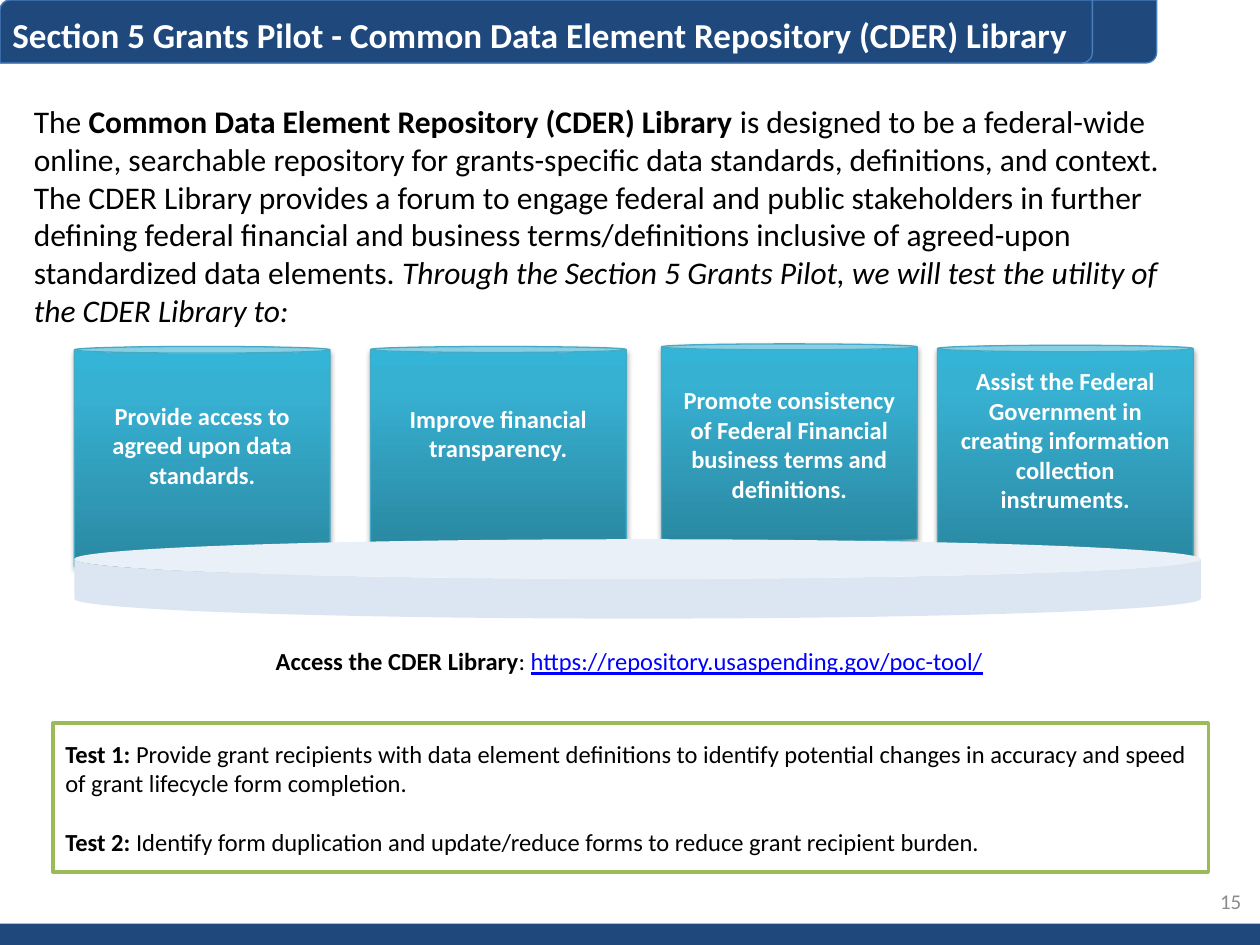
from dataclasses import dataclass
from typing import NamedTuple, Optional

from lxml import etree
from pptx import Presentation
from pptx.dml.color import RGBColor
from pptx.enum.shapes import MSO_SHAPE
from pptx.enum.text import MSO_ANCHOR, PP_ALIGN
from pptx.oxml.ns import qn
from pptx.util import Inches, Pt

RECTANGLE = MSO_SHAPE.RECTANGLE
BANNER = MSO_SHAPE.ROUND_2_DIAG_RECTANGLE
CAN = MSO_SHAPE.CAN
TOP, MIDDLE = MSO_ANCHOR.TOP, MSO_ANCHOR.MIDDLE
LEFT, CENTER, RIGHT = PP_ALIGN.LEFT, PP_ALIGN.CENTER, PP_ALIGN.RIGHT


@dataclass(frozen=True)
class Theme:
    font: str = "Calibri"
    navy: str = "1F497D"
    navy_line: str = "4B7EBC"
    teal_line: str = "46AAC5"
    teal_stops: tuple = ((0, "2A88A2"), (80, "37B1D2"), (100, "34B4D6"))
    pale: str = "DCE6F2"
    green: str = "9BBB59"
    white: str = "FFFFFF"
    black: str = "000000"
    gray: str = "8C8C8C"
    link: str = "0000FF"
    title: int = 20
    body: int = 18
    label: int = 14
    number: int = 12


THEME = Theme()


class Place(NamedTuple):
    left: float
    top: float
    width: float
    height: float


class Span(NamedTuple):
    text: str
    style: dict = {}


class Pillar(NamedTuple):
    left: float
    top: float
    height: float
    text: str
    space_below: float = 0.28


BOLD, ITALIC = {"bold": True}, {"italic": True}
PILLAR_WIDTH = 2.03
LINE_GAP = 17

# Back to front
PILLARS = [
    Pillar(7.44, 2.74, 1.71, "Assist the Federal Government in creating "
           "information collection instruments."),
    Pillar(5.25, 2.73, 1.57, "Promote consistency of Federal Financial "
           "business terms and definitions.", 0.05),
    Pillar(2.94, 2.75, 1.58, "Improve financial transparency."),
    Pillar(0.59, 2.75, 1.77, "Provide access to agreed upon data standards."),
]

INTRO = [
    Span("The "),
    Span("Common Data Element Repository (CDER) Library ", BOLD),
    Span("is designed to be a federal-wide online, searchable repository for "
         "grants-specific data standards, definitions, and context. The CDER "
         "Library provides a forum to engage federal and public stakeholders "
         "in further defining federal financial and business "
         "terms/definitions inclusive of agreed-upon standardized data "
         "elements. "),
    Span("Through the Section 5 Grants Pilot, we will test the utility of "
         "the CDER Library to:", ITALIC),
]

ACCESS = [
    Span("Access the CDER Library", BOLD),
    Span(": "),
    Span("https://repository.usaspending.gov/poc-tool/",
         {"underline": True, "color": THEME.link}),
]

TESTS = [
    [Span("Test 1: ", BOLD),
     Span("Provide grant recipients with data element definitions to identify "
          "potential changes in accuracy and speed of grant lifecycle form "
          "completion.")],
    [Span("Test 2: ", BOLD),
     Span("Identify form duplication and update/reduce forms to reduce grant "
          "recipient burden.")],
]


def rgb(value: str) -> RGBColor:
    return RGBColor.from_string(value)


def write(shape, paragraphs: list, size: int, color: str = THEME.black,
          align=LEFT, anchor=TOP, gap: float = 0) -> None:
    frame = shape.text_frame
    frame.word_wrap = True
    frame.vertical_anchor = anchor
    for index, spans in enumerate(paragraphs):
        para = frame.add_paragraph() if index else frame.paragraphs[0]
        para.alignment = align
        if index:
            para.space_before = Pt(gap)
        for span in spans:
            run = para.add_run()
            run.text = span.text
            style = {"name": THEME.font, "size": Pt(size), "color": color}
            style.update(span.style)
            run.font.color.rgb = rgb(style.pop("color"))
            for name, value in style.items():
                setattr(run.font, name, value)


def add_text(page, place: Place, spans: list, size: int, **options) -> None:
    box = page.shapes.add_textbox(*map(Inches, place))
    write(box, [spans], size, **options)


def add_block(page, kind, place: Place, fill: Optional[str] = None,
              line: Optional[str] = None, weight: float = 0.75):
    shape = page.shapes.add_shape(kind, *map(Inches, place))
    shape.shadow.inherit = False
    if fill:
        shape.fill.solid()
        shape.fill.fore_color.rgb = rgb(fill)
    if line:
        shape.line.color.rgb = rgb(line)
        shape.line.width = Pt(weight)
    else:
        shape.line.fill.background()
    return shape


def add_color(parent, value: str):
    return etree.SubElement(parent, qn("a:srgbClr"), val=value)


def shade(shape) -> None:
    """Give a pillar its three-stop gradient and soft shadow."""
    shape.fill.gradient()
    shape.fill.gradient_angle = 90
    properties = shape._element.spPr
    stops = properties.find(qn("a:gradFill")).find(qn("a:gsLst"))
    for stop in list(stops):
        stops.remove(stop)
    for percent, value in THEME.teal_stops:
        add_color(etree.SubElement(stops, qn("a:gs"), pos=str(percent * 1000)),
                  value)
    shadow = etree.SubElement(
        properties.find(qn("a:effectLst")), qn("a:outerShdw"),
        blurRad=str(Pt(3.1)), dist=str(Pt(1.8)), dir="5400000", rotWithShape="0")
    etree.SubElement(add_color(shadow, THEME.black), qn("a:alpha"), val="35000")


def add_pillar(page, pillar: Pillar) -> None:
    place = Place(pillar.left, pillar.top, PILLAR_WIDTH, pillar.height)
    shape = add_block(page, CAN, place, line=THEME.teal_line)
    shape.adjustments[0] = 0.03
    shade(shape)
    shape.text_frame.margin_bottom = Inches(pillar.space_below)
    write(shape, [[Span(pillar.text, BOLD)]], THEME.label, THEME.white,
          CENTER, MIDDLE)


def main() -> None:
    deck = Presentation()
    deck.slide_width, deck.slide_height = Inches(10), Inches(7.5)
    page = deck.slides.add_slide(deck.slide_layouts[6])

    # Footer bar, title banner and page number
    add_block(page, RECTANGLE, Place(0, 7.33, 10, 0.17), THEME.navy)
    for width in (9.18, 8.67):
        add_block(page, BANNER, Place(0, 0, width, 0.5), THEME.navy,
                  THEME.navy_line)
    add_text(page, Place(7.62, 6.95, 2.33, 0.4), [Span("15")], THEME.number,
             color=THEME.gray, align=RIGHT, anchor=MIDDLE)
    title = ("Section 5 Grants Pilot - Common Data Element Repository (CDER) "
             "Library")
    add_text(page, Place(0, 0.06, 9, 0.44), [Span(title, BOLD)], THEME.title,
             color=THEME.white)

    # Introduction
    add_text(page, Place(0.17, 0.76, 9.19, 1.92), INTRO, THEME.body)

    # Pillars standing behind their base
    for pillar in PILLARS:
        add_pillar(page, pillar)
    base = add_block(page, CAN, Place(0.59, 4.28, 8.94, 0.63), THEME.pale)
    base.adjustments[0] = 0.5

    # Address line and tests
    add_text(page, Place(2.08, 5.08, 5.83, 0.34), ACCESS, THEME.label,
             align=CENTER)
    tests = add_block(page, RECTANGLE, Place(0.42, 5.74, 9.17, 1.18),
                      THEME.white, THEME.green, 2)
    write(tests, TESTS, THEME.label, anchor=MIDDLE, gap=LINE_GAP)

    deck.save("out.pptx")


if __name__ == "__main__":
    main()
